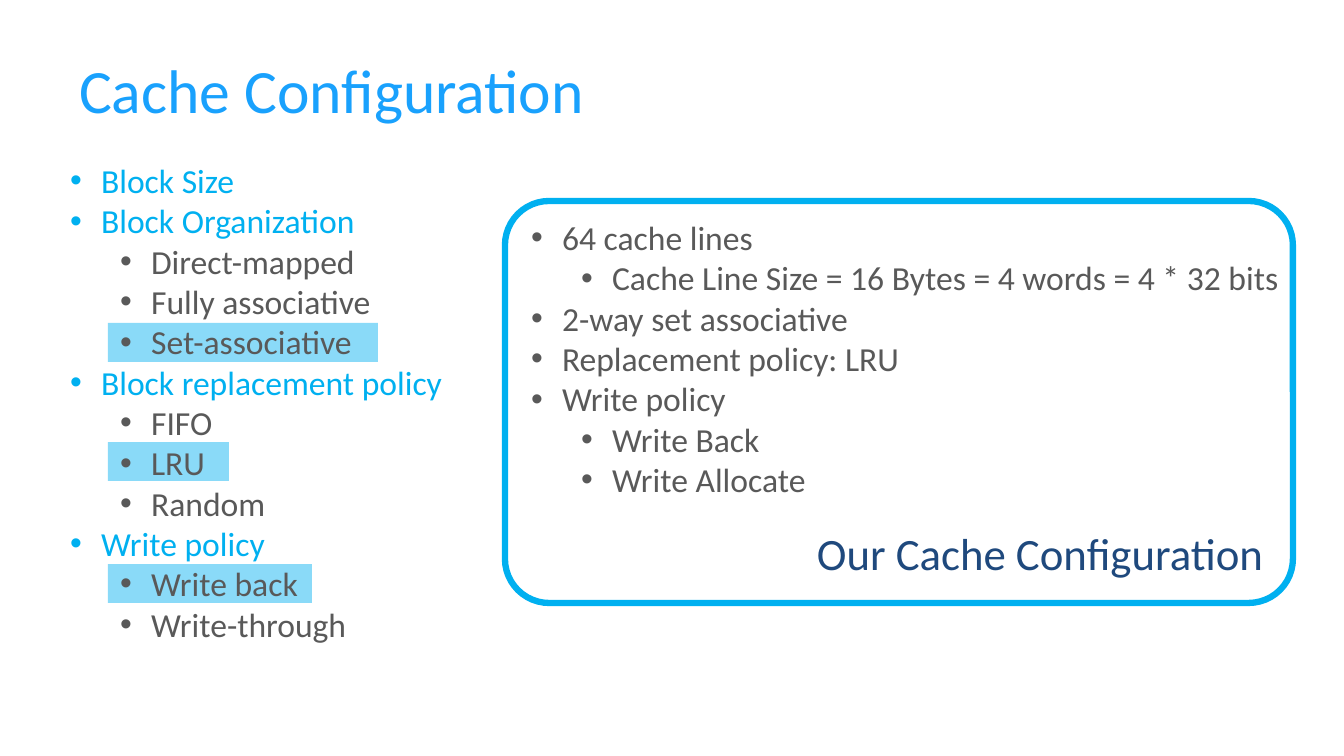
from dataclasses import dataclass

from lxml import etree
from pptx import Presentation
from pptx.dml.color import RGBColor as RGB
from pptx.enum.shapes import MSO_SHAPE as Preset
from pptx.enum.text import MSO_ANCHOR as Anchor, MSO_AUTO_SIZE as AutoSize, PP_ALIGN as Align
from pptx.oxml.ns import qn
from pptx.util import Emu, Pt

EMU_PER_PX = 914400 / 100.8


@dataclass(frozen=True)
class Theme:
    font: str = "Calibri"
    title: RGB = RGB(0x19, 0xA1, 0xFD)
    accent: RGB = RGB(0x00, 0xB0, 0xF0)
    text: RGB = RGB(0x59, 0x59, 0x59)
    caption: RGB = RGB(0x1F, 0x49, 0x7D)
    title_size: int = 44
    caption_size: int = 32
    list_size: int = 24
    border: float = 4.5
    highlight_alpha: int = 46


THEME = Theme()

# (level, wording) of each list entry
OPTIONS = [
    (0, "Block Size"),
    (0, "Block Organization"),
    (1, "Direct-mapped"),
    (1, "Fully associative"),
    (1, "Set-associative"),
    (0, "Block replacement policy"),
    (1, "FIFO"),
    (1, "LRU"),
    (1, "Random"),
    (0, "Write policy"),
    (1, "Write back"),
    (1, "Write-through"),
]
CHOICES = [
    (0, "64 cache lines"),
    (1, "Cache Line Size = 16 Bytes = 4 words = 4 * 32 bits"),
    (0, "2-way set associative"),
    (0, "Replacement policy: LRU"),
    (0, "Write policy"),
    (1, "Write Back"),
    (1, "Write Allocate"),
]
# (top, width) behind Set-associative, LRU and Write back
HIGHLIGHTS = [(323, 270), (442, 121), (564, 204)]


def px(length):
    return Emu(round(length * EMU_PER_PX))


def place(shape, left, top, width, height):
    shape.left, shape.top, shape.width, shape.height = map(px, (left, top, width, height))


def style(paragraph, size, color):
    paragraph.alignment = Align.LEFT
    font = paragraph.font
    font.name, font.size = THEME.font, Pt(size)
    font.color.rgb = color


def fill_title(title, wording, box):
    place(title, *box)
    title.text_frame.text = wording
    title.text_frame.vertical_anchor = Anchor.MIDDLE
    style(title.text_frame.paragraphs[0], THEME.title_size, THEME.title)


def add_bullet(paragraph, level):
    paragraph.level = level
    props = paragraph._p.get_or_add_pPr()
    props.set("marL", str(px(81 if level else 31)))
    props.set("indent", str(px(-31)))
    etree.SubElement(props, qn("a:buFont")).set("typeface", "Arial")
    etree.SubElement(props, qn("a:buChar")).set("char", "•")


def fill_list(body, entries, box, level_colors):
    place(body, *box)
    frame = body.text_frame
    frame.auto_size = AutoSize.NONE
    frame.text = "\n".join(wording for _, wording in entries)
    for paragraph, (level, _) in zip(frame.paragraphs, entries):
        add_bullet(paragraph, level)
        paragraph.space_before = Pt(0)
        style(paragraph, THEME.list_size, level_colors[level])


def add_highlight(slide, top, width):
    highlight = slide.shapes.add_shape(Preset.RECTANGLE, px(108), px(top), px(width), px(39))
    highlight.shadow.inherit = False
    highlight.line.fill.background()
    highlight.fill.solid()
    highlight.fill.fore_color.rgb = THEME.accent
    color = highlight.element.find(".//" + qn("a:srgbClr"))
    etree.SubElement(color, qn("a:alpha")).set("val", str(THEME.highlight_alpha * 1000))
    # Send behind the text
    highlight.element.getparent().insert(2, highlight.element)


def add_panel(slide, box):
    panel = slide.shapes.add_shape(Preset.ROUNDED_RECTANGLE, *map(px, box))
    panel.adjustments[0] = 0.11
    panel.shadow.inherit = False
    panel.fill.background()
    panel.line.color.rgb = THEME.accent
    panel.line.width = Pt(THEME.border)


def add_caption(slide, wording, box):
    frame = slide.shapes.add_textbox(*map(px, box)).text_frame
    frame.word_wrap = True
    frame.text = wording
    style(frame.paragraphs[0], THEME.caption_size, THEME.caption)


def main():
    deck = Presentation()
    deck.slide_width, deck.slide_height = px(1344), px(756)
    slide = deck.slides.add_slide(deck.slide_layouts[3])
    title, options, choices = slide.placeholders

    # Title and the available options
    fill_title(title, "Cache Configuration", (69, 36, 1030, 105))
    fill_list(options, OPTIONS, (60, 155, 672, 499), (THEME.accent, THEME.text))
    for top, width in HIGHLIGHTS:
        add_highlight(slide, top, width)

    # Chosen configuration
    fill_list(choices, CHOICES, (521, 212, 791, 295), (THEME.text, THEME.text))
    add_panel(slide, (505, 201, 788, 402))
    add_caption(slide, "Our Cache Configuration", (807, 521, 477, 65))

    deck.save("out.pptx")


if __name__ == "__main__":
    main()
